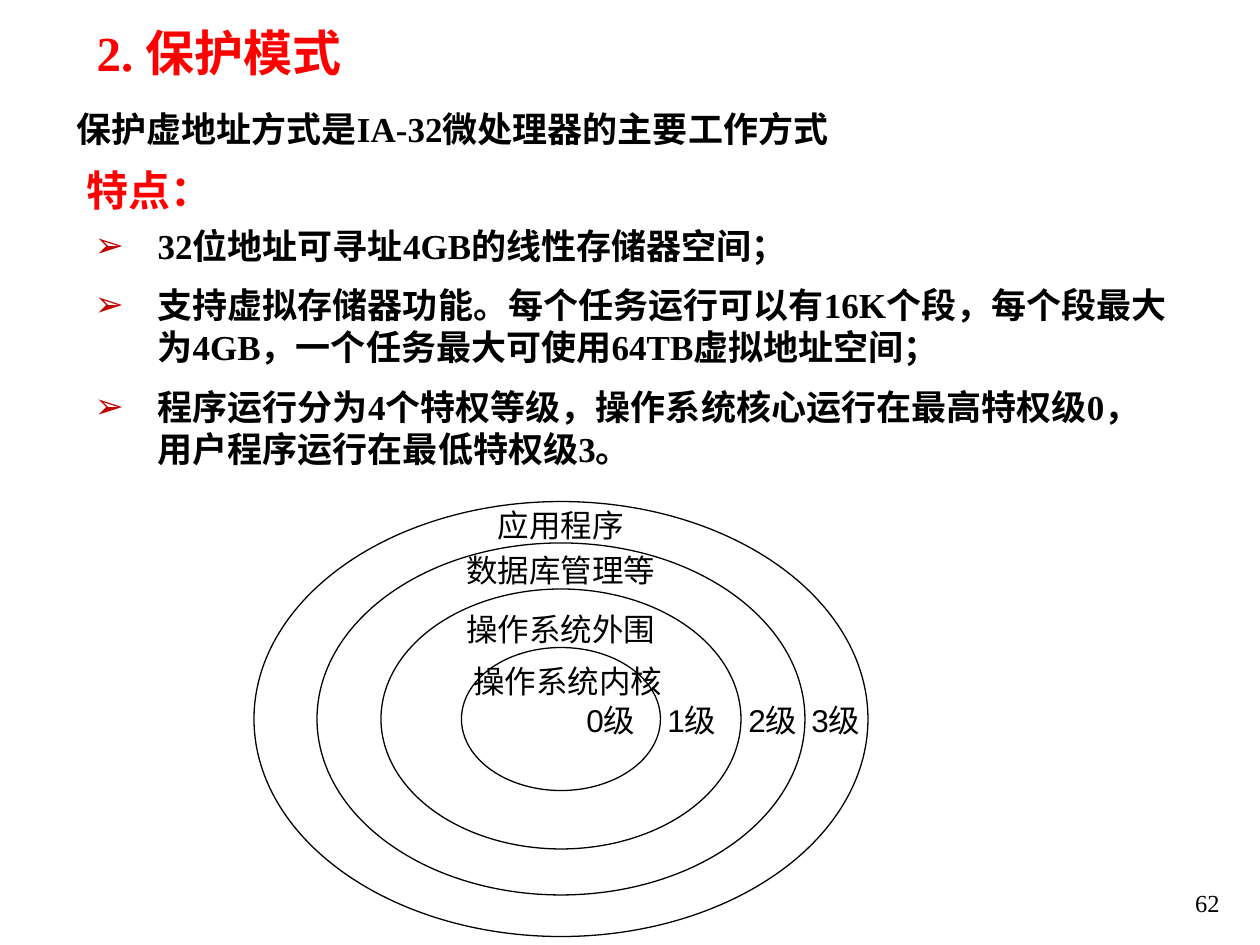
from lxml import etree
from pptx import Presentation, util as u
from pptx.dml.color import RGBColor
from pptx.enum import shapes, text
from pptx.oxml.ns import qn

PX = 914400 / 126
COLORS = {"text": "000000", "accent": "FF0000", "bullet": "C00000"}
SERIF, SANS, HEADING = "Times New Roman", "Arial", "Roboto"


class SlideBuilder:
    def __init__(self, deck):
        self.slide = deck.slides.add_slide(deck.slide_layouts[1])

    def place(self, box, left, top, width, height):
        box.left, box.top, box.width, box.height = (
            u.Emu(round(value * PX)) for value in (left, top, width, height))

    def format(self, box, size, color="text", font=SERIF, bold=False,
               align=text.PP_ALIGN.LEFT, anchor=text.MSO_ANCHOR.TOP, wrap=True):
        frame = box.text_frame
        frame.auto_size = text.MSO_AUTO_SIZE.NONE
        frame.word_wrap = wrap
        frame.vertical_anchor = anchor
        for number, para in enumerate(frame.paragraphs):
            para.alignment = align
            para.space_before = u.Pt(size / 2 if number else 0)
            for span in para.runs:
                span.font.name = font
                span.font.size = u.Pt(size)
                span.font.bold = bold
                span.font.color.rgb = RGBColor.from_string(COLORS[color])

    def title(self, words, area, **style):
        box = self.slide.shapes.title
        self.place(box, *area)
        box.text_frame.text = words
        self.format(box, **style)

    def bullets(self, items, area, indent, **style):
        box = self.slide.placeholders[1]
        self.place(box, *area)
        box.text_frame.text = "\n".join(items)
        for para in box.text_frame.paragraphs:
            props = para._p.get_or_add_pPr()
            props.set("marL", str(round(indent * PX)))
            props.set("indent", str(round(-indent * PX)))
            tint = etree.SubElement(props, qn("a:buClr"))
            etree.SubElement(tint, qn("a:srgbClr"), val=COLORS["bullet"])
            etree.SubElement(props, qn("a:buFont"), typeface=SANS)
            etree.SubElement(props, qn("a:buChar"), char="➢")
        self.format(box, **style)

    def label(self, words, area, **style):
        box = self.slide.shapes.add_textbox(0, 0, 0, 0)
        self.place(box, *area)
        box.text_frame.text = words
        self.format(box, **style)

    def centred_label(self, words, x, y, width, height=39):
        self.label(words, (x - width / 2, y - height / 2, width, height),
                   size=18, font=SANS, align=text.PP_ALIGN.CENTER,
                   anchor=text.MSO_ANCHOR.MIDDLE, wrap=False)

    def ring(self, x, y, width, height):
        oval = self.slide.shapes.add_shape(shapes.MSO_SHAPE.OVAL, 0, 0, 0, 0)
        self.place(oval, x - width / 2, y - height / 2, width, height)
        oval.shadow.inherit = False
        oval.fill.background()
        oval.line.color.rgb = RGBColor.from_string(COLORS["text"])
        oval.line.width = u.Pt(0.75)


def main():
    deck = Presentation()
    deck.slide_width, deck.slide_height = u.Inches(10), u.Inches(7.5)
    page = SlideBuilder(deck)

    # Headings and list
    page.title("2. 保护模式", (84, 16, 340, 72), size=28, color="accent", bold=True)
    page.label("保护虚地址方式是IA-32微处理器的主要工作方式", (64, 101, 976, 55),
               size=20, bold=True)
    page.label("特点：", (74, 158, 154, 63), size=24, color="accent",
               font=HEADING, bold=True, wrap=False)
    page.bullets([
        "32位地址可寻址4GB的线性存储器空间；",
        "支持虚拟存储器功能。每个任务运行可以有16K个段，每个段最大为4GB，"
        "一个任务最大可使用64TB虚拟地址空间；",
        "程序运行分为4个特权等级，操作系统核心运行在最高特权级0，"
        "用户程序运行在最低特权级3。",
    ], (82, 218, 1102, 267), indent=63, size=20, bold=True)

    # Privilege rings, all around one centre
    center_x, center_y = 561, 719
    for width, height in ((614, 435), (488, 352), (360, 260), (199, 143)):
        page.ring(center_x, center_y, width, height)

    # Ring names
    for words, x, y, width in (("应用程序", center_x, 525, 126),
                               ("数据库管理等", center_x, 570, 162),
                               ("操作系统外围", center_x, 629, 126),
                               ("操作系统内核", 568, 681, 63)):
        page.centred_label(words, x, y, width)

    # Privilege levels
    for level, x in enumerate((611, 692, 773, 836)):
        page.centred_label(f"{level}级", x, 720, 63)

    # Page number
    page.label("62", (970, 861, 262, 63), size=14, align=text.PP_ALIGN.RIGHT,
               anchor=text.MSO_ANCHOR.BOTTOM)

    deck.save("out.pptx")


if __name__ == "__main__":
    main()
